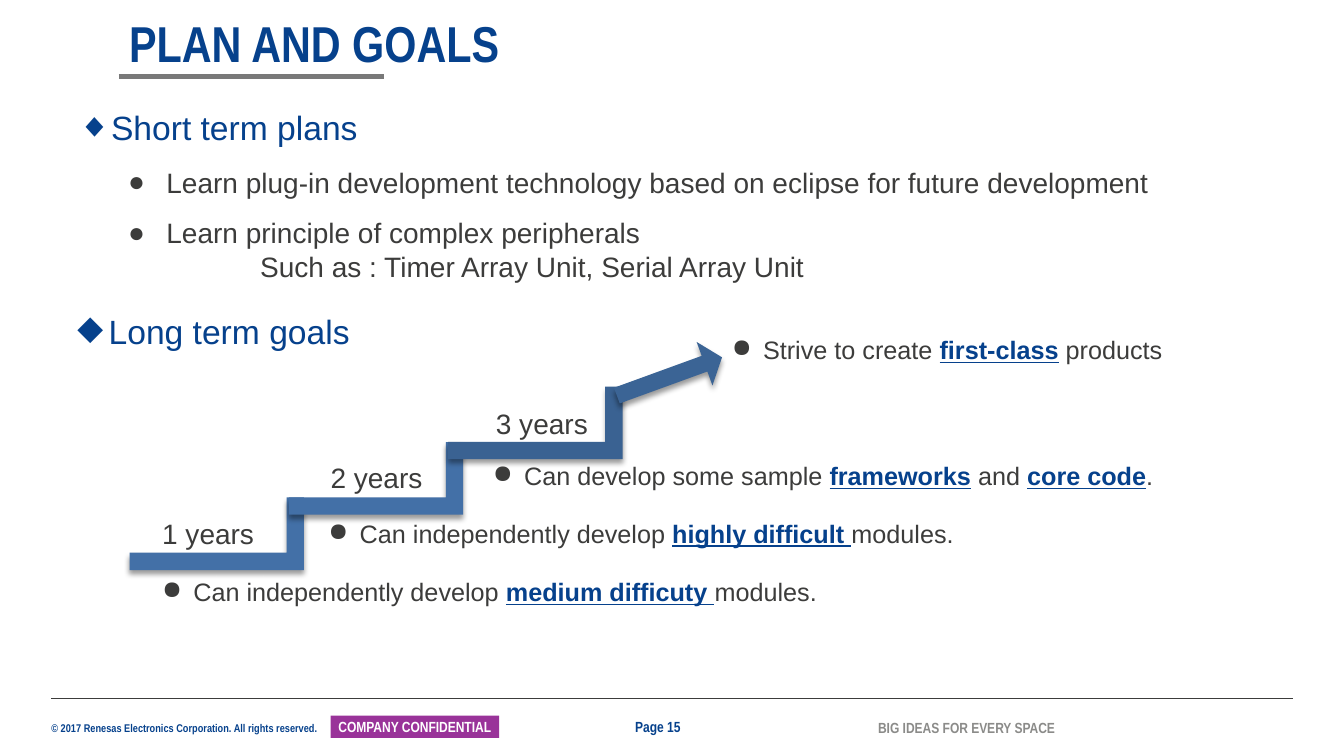
from dataclasses import dataclass
from lxml.etree import SubElement
from pptx import Presentation
from pptx.dml.color import RGBColor
from pptx.enum.shapes import MSO_CONNECTOR as Line, MSO_SHAPE as Shape
from pptx.enum.text import MSO_ANCHOR as Anchor, MSO_AUTO_SIZE as Fit, PP_ALIGN as Align
from pptx.oxml.ns import qn
from pptx.util import Inches, Pt


@dataclass(frozen=True)
class Theme:
    blue: str = "06418C"
    dark: str = "3C3C3B"
    rule: str = "797979"
    gray: str = "8B8B89"
    white: str = "FFFFFF"
    tag: str = "993399"
    step: str = "4370A7"
    top: str = "3A6292"
    arrow: str = "3B6495"
    body: str = "Arial"
    slim: str = "Arial Narrow"
    title: float = 36
    head: float = 24
    text: float = 20
    goal: float = 18
    foot: float = 10.5
    copy: float = 8


T = Theme()

TITLE = "PLAN AND GOALS"
# text, bullet, left indent, hanging indent, space before, size, colour
PLANS = [
    ("Short term plans", "◆", 0.31, 0.31, 0, T.head, T.blue),
    ("Learn plug-in development technology based on eclipse for future development",
     "●", 0.88, 0.38, 13, T.text, T.dark),
    ("Learn principle of complex peripherals", "●", 0.88, 0.38, 12, T.text, T.dark),
    ("Such as : Timer Array Unit, Serial Array Unit", None, 1.81, 0, 0, T.text, T.dark),
]
LONG = "Long term goals"
YEARS = [
    ("1 years", 1.51, 5.08),
    ("2 years", 3.18, 4.52),
    ("3 years", 4.82, 3.98),
]
# left, top, width, then plain and stressed parts in turn
GOALS = [
    (1.51, 5.67, 6.76, ["Can independently develop ", "medium difficuty ", "modules."]),
    (3.16, 5.09, 6.46, ["Can independently develop ", "highly difficult ", "modules."]),
    (4.79, 4.52, 6.84,
     ["Can develop some sample ", "frameworks", " and ", "core code", "."]),
    (7.16, 3.27, 4.51, ["Strive to create ", "first-class", " products"]),
]
# text, box, size, colour
FOOT = [
    ("© 2017 Renesas Electronics Corporation. All rights reserved.",
     (0.51, 7.16, 2.75, 0.13), T.copy, T.blue),
    ("Page 15", (6.3, 7.12, 0.73, 0.18), T.foot, T.blue),
    ("BIG IDEAS FOR EVERY SPACE", (8.71, 7.13, 1.8, 0.18), T.foot, T.gray),
]
TAG = "COMPANY CONFIDENTIAL"
RULES = [
    (0.51, 12.82, 6.93, T.dark, 0.5),
    (1.18, 3.81, 0.76, T.rule, 3),
]
STEPS = [T.step, T.step, T.top]
START, STRIDE, RISE = (1.79, 4.43), 1.58, 0.55


def inch(*nums):
    return [Inches(n) for n in nums]


def rgb(code):
    return RGBColor.from_string(code)


def style(par, size, color, name=T.body, bold=False):
    for run in par.runs:
        font = run.font
        font.size, font.name, font.bold = Pt(size), name, bold
        font.color.rgb = rgb(color)


def mark(par, sign, left, hang):
    """Set the indents and the bullet, or no bullet, of a paragraph."""
    props = par._p.get_or_add_pPr()
    props.set("marL", str(Inches(left)))
    props.set("indent", str(-Inches(hang)))
    if sign:
        SubElement(props, qn("a:buChar")).set("char", sign)
    else:
        SubElement(props, qn("a:buNone"))


def label(slide, box, text=""):
    frame = slide.shapes.add_textbox(*inch(*box)).text_frame
    frame.word_wrap = True
    frame.text = text
    return frame


def trim(frame, side=0):
    frame.margin_left = frame.margin_right = Inches(side)
    frame.margin_top = frame.margin_bottom = 0
    frame.vertical_anchor = Anchor.MIDDLE


def solid(slide, kind, box, color):
    shape = slide.shapes.add_shape(kind, *inch(*box))
    shape.fill.solid()
    shape.fill.fore_color.rgb = rgb(color)
    shape.line.fill.background()
    shape.shadow.inherit = False
    return shape


def climb(slide, kind, box, color, turn, bends):
    """Add a turned part of the staircase with a soft shadow below it."""
    shape = solid(slide, kind, box, color)
    shape.rotation = turn
    for i, bend in enumerate(bends):
        shape.adjustments[i] = bend
    cast = SubElement(shape._element.spPr.find(qn("a:effectLst")), qn("a:outerShdw"),
                      blurRad=str(Pt(4)), dist=str(Pt(3)), dir="5400000",
                      rotWithShape="0")
    tint = SubElement(cast, qn("a:srgbClr"), val="000000")
    SubElement(tint, qn("a:alpha"), val="40000")


def frame_page(slide):
    for left, right, y, color, width in RULES:
        rule = slide.shapes.add_connector(Line.STRAIGHT, *inch(left, y, right, y))
        rule.line.color.rgb = rgb(color)
        rule.line.width = Pt(width)
        SubElement(rule._element.spPr, qn("a:effectLst"))
    for text, box, size, color in FOOT:
        frame = label(slide, box, text)
        trim(frame)
        style(frame.paragraphs[0], size, color, T.slim, True)
    frame = solid(slide, Shape.RECTANGLE, (3.28, 7.1, 1.67, 0.22), T.tag).text_frame
    trim(frame, 0.04)
    frame.word_wrap = False
    frame.text = TAG
    par = frame.paragraphs[0]
    par.alignment = Align.CENTER
    style(par, T.foot, T.white, T.slim, True)


def fill_text(slide):
    title, body = slide.placeholders
    title.left, title.top, title.width, title.height = inch(1.18, 0.13, 9.32, 0.65)
    frame = title.text_frame
    frame.text = TITLE
    frame.auto_size = Fit.NONE
    frame.vertical_anchor = Anchor.MIDDLE
    par = frame.paragraphs[0]
    par.alignment = Align.LEFT
    par.line_spacing = 0.9
    style(par, T.title, T.blue, T.slim, True)

    body.left, body.top, body.width, body.height = inch(0.67, 1.01, 11.73, 1.87)
    frame = body.text_frame
    frame.text = "\n".join(plan[0] for plan in PLANS)
    frame.auto_size = Fit.NONE
    for par, (_, sign, left, hang, gap, size, color) in zip(frame.paragraphs, PLANS):
        par.level = int(size == T.text)
        mark(par, sign, left, hang)
        par.space_before = Pt(gap)
        style(par, size, color)

    par = label(slide, (0.67, 3.04, 4.03, 0.5), LONG).paragraphs[0]
    mark(par, "◆", 0.31, 0.31)
    style(par, T.head, T.blue)


def draw_stairs(slide):
    for i, color in enumerate(STEPS):
        box = (START[0] + i * STRIDE, START[1] - i * RISE, 0.72, 1.73)
        climb(slide, Shape.CORNER, box, color, 270, (0.239, 0.239))
    climb(slide, Shape.UP_ARROW, (6.41, 3.18, 0.46, 1.11), T.arrow, 70, (0.359, 0.402))
    for text, left, top in YEARS:
        frame = label(slide, (left, top, 1.2, 0.44), text)
        style(frame.paragraphs[0], T.text, T.dark)
    for left, top, width, parts in GOALS:
        par = label(slide, (left, top, width, 0.4)).paragraphs[0]
        mark(par, "●", 0.31, 0.31)
        for part in parts:
            par.add_run().text = part
        style(par, T.goal, T.dark)
        for run in par.runs[1::2]:
            run.font.bold = run.font.underline = True
            run.font.color.rgb = rgb(T.blue)


def main():
    deck = Presentation()
    deck.slide_width, deck.slide_height = inch(13.33, 7.5)
    slide = deck.slides.add_slide(deck.slide_layouts[1])
    frame_page(slide)
    fill_text(slide)
    draw_stairs(slide)
    deck.save("out.pptx")


if __name__ == "__main__":
    main()
